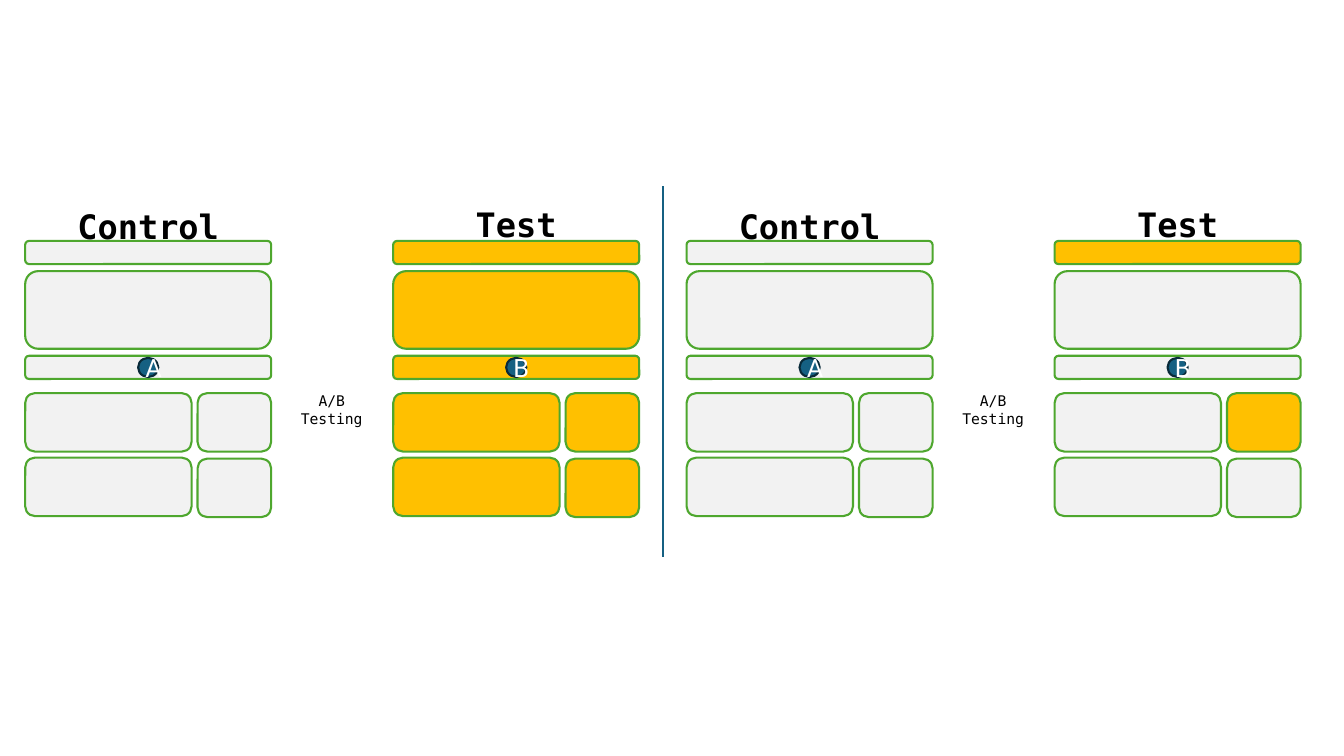
import pptx
import pptx.dml.color
import pptx.enum.shapes
import pptx.enum.text
import pptx.oxml.ns
import pptx.util
from pptx.util import Inches

COLORS = {
    "white": "FFFFFF",
    "black": "000000",
    "unchanged": "F2F2F2",
    "changed": "FFC000",
    "outline": "4EA72E",
    "badge": "156082",
    "badge_outline": "092A39",
}
MONO = "DejaVu Sans Mono"
SHAPES = pptx.enum.shapes.MSO_SHAPE
BLOCKS = {
    "header": (0, 2.39, 2.44, 0.23),
    "hero": (0, 2.69, 2.44, 0.77),
    "menu": (0, 3.53, 2.44, 0.23),
    "upper main": (0, 3.9, 1.65, 0.58),
    "upper side": (1.71, 3.9, 0.73, 0.58),
    "lower main": (0, 4.54, 1.65, 0.58),
    "lower side": (1.71, 4.55, 0.73, 0.58),
}
PANEL_LEFTS = (0.05, 6.61)
CONTROL_OFFSET = 0.2
TEST_OFFSET = 3.85


def color(name):
    return pptx.dml.color.RGBColor.from_string(COLORS[name])


def add_box(shapes, kind, bounds, fill, outline=None):
    shape = shapes.add_shape(kind, *map(Inches, bounds))
    shape.shadow.inherit = False
    shape.fill.solid()
    shape.fill.fore_color.rgb = color(fill)
    if outline:
        shape.line.color.rgb = color(outline)
        shape.line.width = pptx.util.Pt(1.5)
    else:
        shape.line.fill.background()
    return shape


def write(shape, text, size, font_name, text_color, bold=False):
    shape.text_frame.text = text
    paragraph = shape.text_frame.paragraphs[0]
    paragraph.alignment = pptx.enum.text.PP_ALIGN.CENTER
    font = paragraph.runs[0].font
    font.size = pptx.util.Pt(size)
    font.name = font_name
    font.bold = bold
    font.color.rgb = color(text_color)


def add_label(shapes, bounds, text, size, bold=False):
    label = shapes.add_textbox(*map(Inches, bounds))
    label.text_frame.word_wrap = True
    label.text_frame.auto_size = pptx.enum.text.MSO_AUTO_SIZE.SHAPE_TO_FIT_TEXT
    write(label, text, size, MONO, "black", bold)


def add_page(shapes, left, letter, changed_blocks):
    for name, (offset, top, width, height) in BLOCKS.items():
        fill = "changed" if name in changed_blocks else "unchanged"
        bounds = (left + offset, top, width, height)
        add_box(shapes, SHAPES.ROUNDED_RECTANGLE, bounds, fill, "outline")
    bounds = (left + 1.12, 3.55, 0.2, 0.19)
    badge = add_box(shapes, SHAPES.OVAL, bounds, "badge", "badge_outline")
    write(badge, letter, 18, "Roboto", "white")


def add_comparison(slide, left, changed_blocks):
    shapes = slide.shapes.add_group_shape().shapes
    add_box(shapes, SHAPES.RECTANGLE, (left, 1.99, 6.67, 3.54), "white")
    control_left = left + CONTROL_OFFSET
    test_left = left + TEST_OFFSET
    add_page(shapes, control_left, "A", ())
    add_page(shapes, test_left, "B", changed_blocks)
    add_label(shapes, (control_left, 1.99, 2.44, 0.5), "Control", 24, True)
    add_label(shapes, (test_left, 1.97, 2.44, 0.5), "Test", 24, True)
    add_label(shapes, (left + 2.73, 3.84, 1.02, 0.47), "A/B Testing", 10.5)


def add_divider(slide, x, top, bottom):
    divider = slide.shapes.add_connector(
        pptx.enum.shapes.MSO_CONNECTOR.STRAIGHT,
        Inches(x), Inches(top), Inches(x), Inches(bottom),
    )
    divider.line.color.rgb = color("badge")
    divider.line.width = pptx.util.Pt(1.5)
    properties = divider._element.spPr
    properties.append(pptx.oxml.parse_xml(
        "<a:effectLst %s/>" % pptx.oxml.ns.nsdecls("a")
    ))


def main():
    presentation = pptx.Presentation()
    presentation.slide_width = Inches(13.33)
    presentation.slide_height = Inches(7.5)
    slide = presentation.slides.add_slide(presentation.slide_layouts[6])
    changes = (tuple(BLOCKS), ("header", "upper side"))
    for left, changed_blocks in zip(PANEL_LEFTS, changes):
        add_comparison(slide, left, changed_blocks)
    add_divider(slide, 6.58, 1.85, 5.53)
    presentation.save("out.pptx")


if __name__ == "__main__":
    main()
